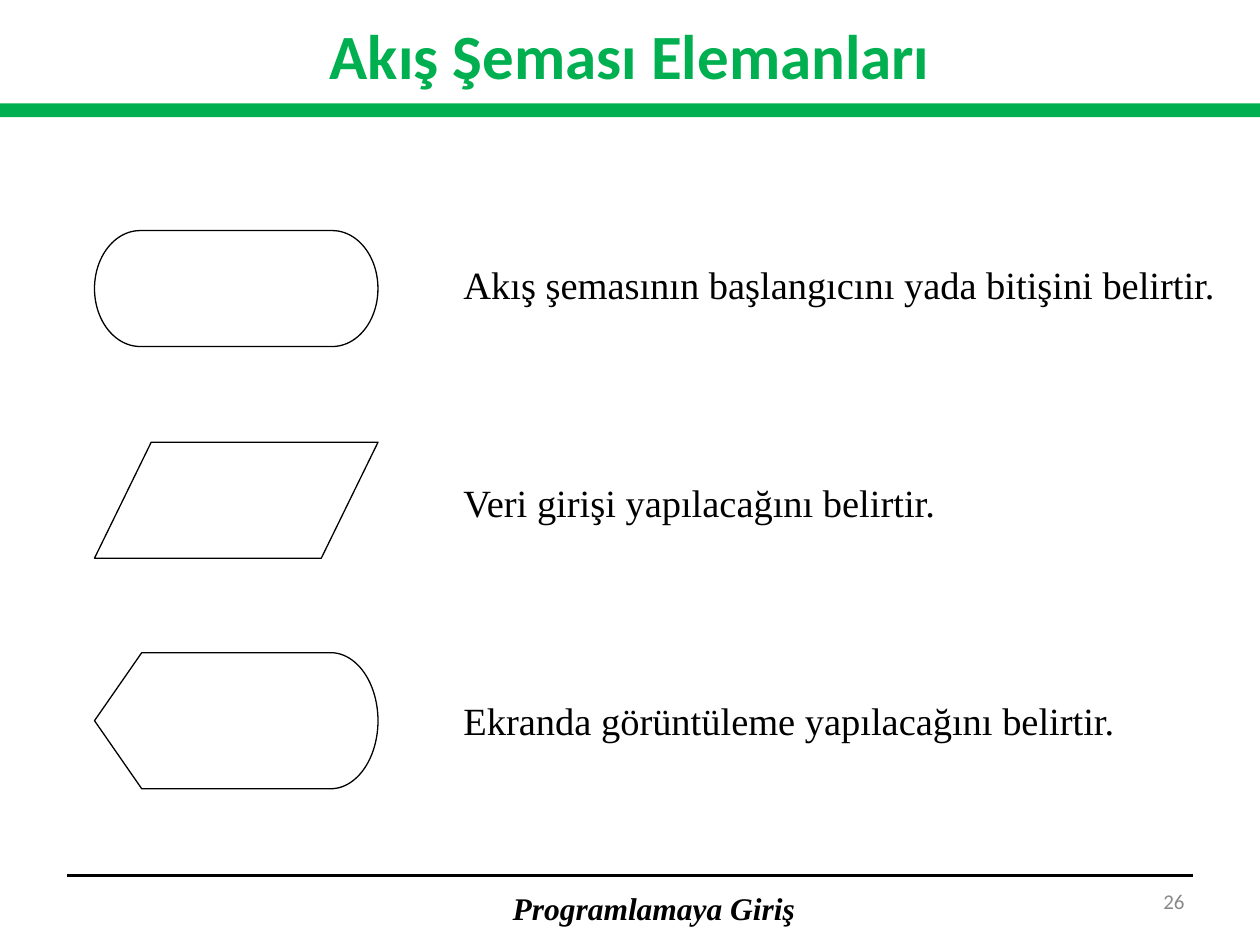
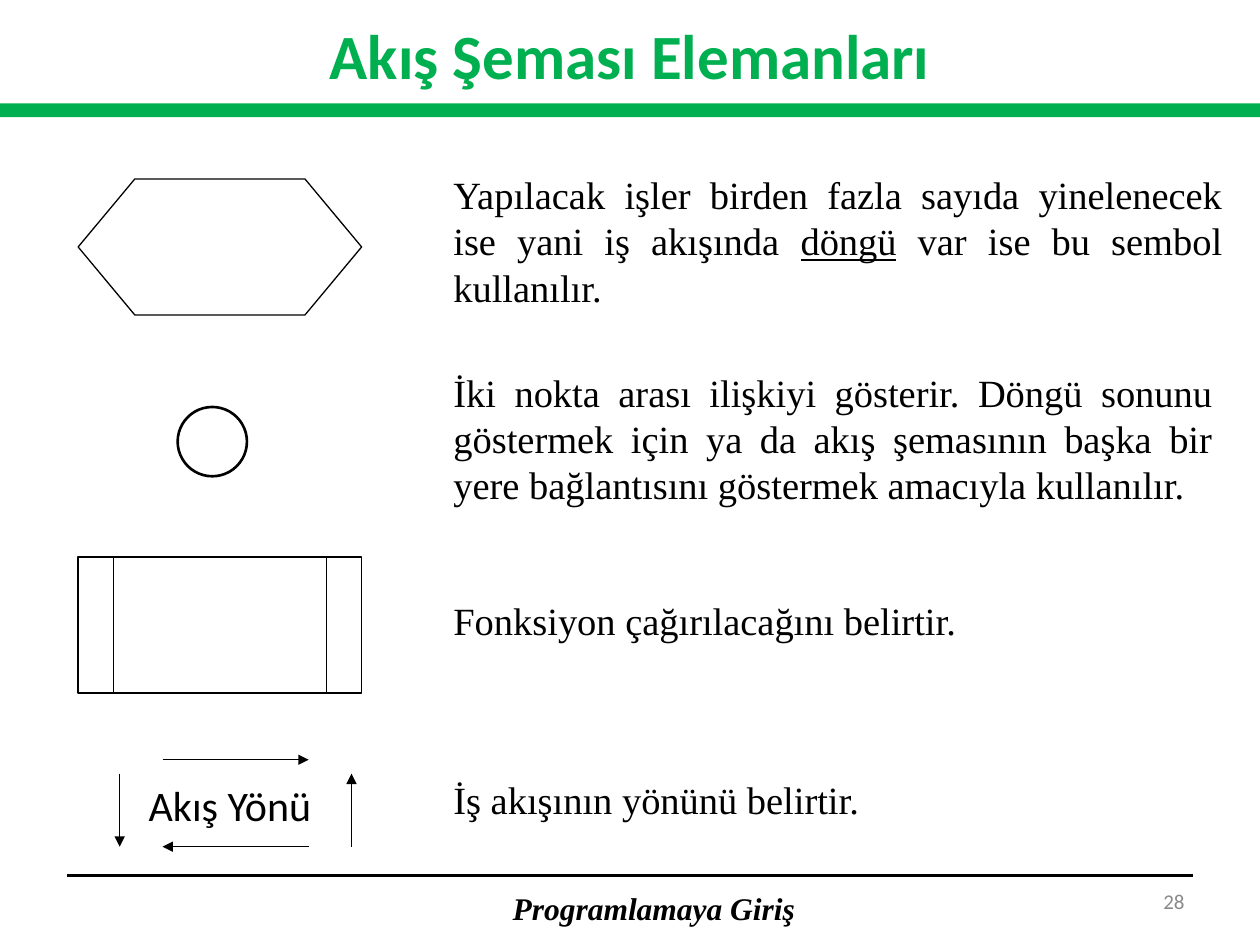
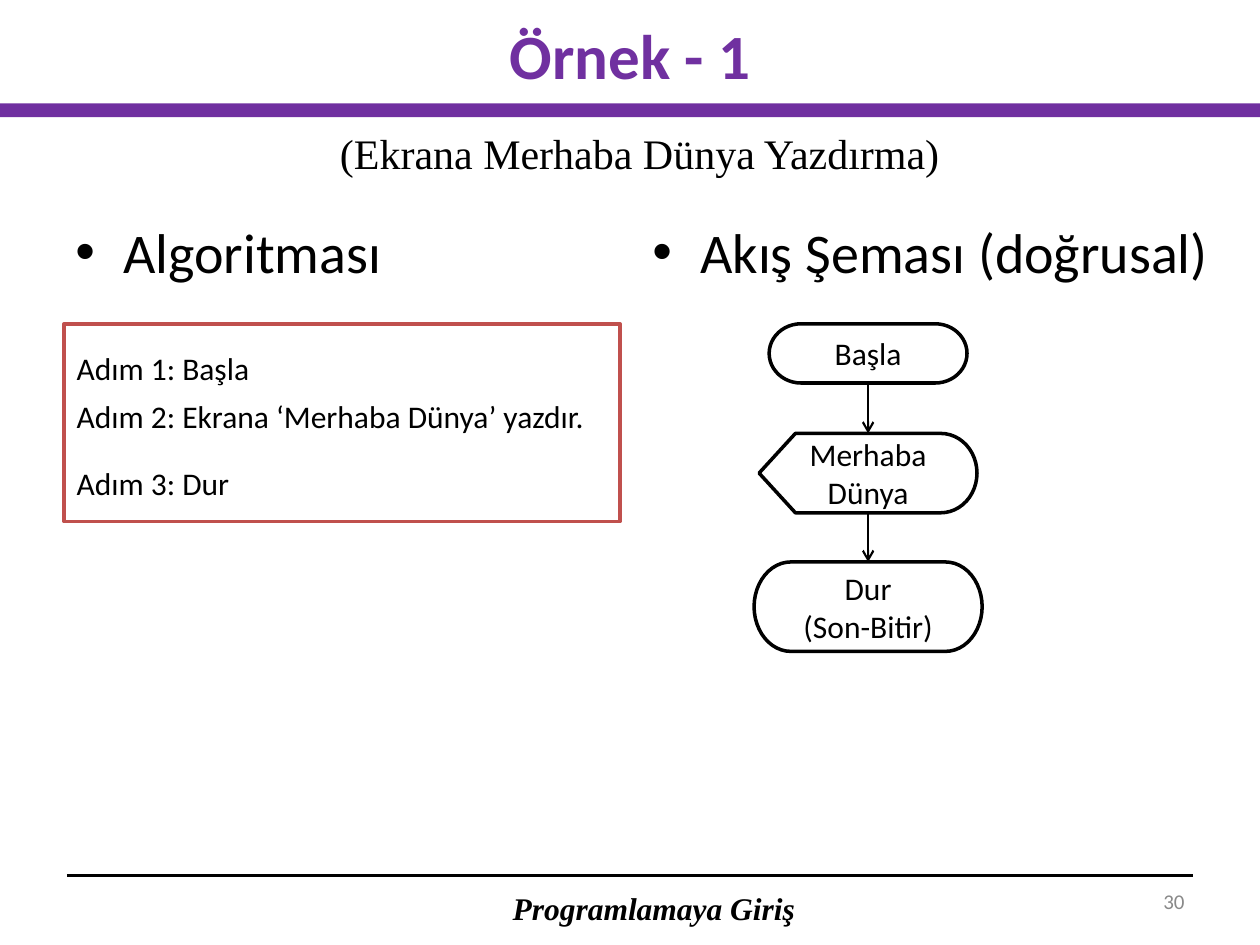
from lxml.etree import SubElement
from pptx import Presentation
from pptx.dml.color import RGBColor
from pptx.enum.shapes import MSO_CONNECTOR, MSO_SHAPE as SHAPE
from pptx.enum.text import MSO_ANCHOR as ANCHOR, PP_ALIGN as ALIGN
from pptx.oxml.ns import qn
from pptx.util import Inches, Pt

COLORS = {
    "black": "000000",
    "white": "FFFFFF",
    "gray": "898989",
    "green": "00B050",
    "purple": "7030A0",
    "red": "C0504D",
}
SANS = "Calibri"
SERIF = "Times New Roman"


def rgb(name):
    return RGBColor.from_string(COLORS[name])


class Deck:
    def __init__(self):
        self.prs = Presentation()
        self.prs.slide_width = Inches(10)
        self.prs.slide_height = Inches(7.5)
        self.s = None

    def slide(self, title, number, accent):
        self.s = self.prs.slides.add_slide(self.prs.slide_layouts[6])
        self.line(0.53, 6.95, 9.47, 6.95, 2)
        self.text("Programlamaya Giriş", 3.88, 7.01, 2.62, 0.4, 18, SERIF,
                  align=ALIGN.CENTER, anchor=ANCHOR.MIDDLE, bold=True, italic=True)
        self.text(str(number), 8.59, 6.95, 0.91, 0.4, 12, color="gray",
                  align=ALIGN.RIGHT, anchor=ANCHOR.MIDDLE)
        self.shape(SHAPE.RECTANGLE, 0, 0.82, 10, 0.11, fill=accent, line=None)
        self.text(title, 0, 0.11, 10, 0.64, 36, color=accent,
                  align=ALIGN.CENTER, anchor=ANCHOR.MIDDLE, bold=True)

    def set_text(self, tf, text, size, font=SANS, color="black", align=ALIGN.LEFT,
                 anchor=ANCHOR.TOP, bold=False, italic=False, wrap=True):
        tf.text = text
        tf.word_wrap = wrap
        tf.vertical_anchor = anchor
        for p in tf.paragraphs:
            p.alignment = align
            for r in p.runs:
                r.font.name = font
                r.font.size = Pt(size)
                r.font.bold = bold
                r.font.italic = italic
                r.font.color.rgb = rgb(color)

    def text(self, text, x, y, w, h, size, font=SANS, **style):
        sp = self.s.shapes.add_textbox(Inches(x), Inches(y), Inches(w), Inches(h))
        self.set_text(sp.text_frame, text, size, font, **style)
        return sp

    def description(self, text, x, y, w, h=0.47, align=ALIGN.LEFT):
        return self.text(text, x, y, w, h, 22, SERIF, align=align)

    def bullet(self, text, x, y, w, h):
        p = self.text(text, x, y, w, h, 32).text_frame.paragraphs[0]
        pPr = p._p.get_or_add_pPr()
        pPr.set("marL", str(Inches(0.38)))
        pPr.set("indent", str(Inches(-0.38)))
        SubElement(pPr, qn("a:buFont")).set("typeface", "Arial")
        SubElement(pPr, qn("a:buChar")).set("char", "•")

    def shape(self, kind, x, y, w, h, fill=None, line="black", width=0.75):
        sp = self.s.shapes.add_shape(kind, Inches(x), Inches(y), Inches(w), Inches(h))
        sp.shadow.inherit = False
        if fill:
            sp.fill.solid()
            sp.fill.fore_color.rgb = rgb(fill)
        else:
            sp.fill.background()
        if line:
            sp.line.color.rgb = rgb(line)
            sp.line.width = Pt(width)
        else:
            sp.line.fill.background()
        return sp

    def node(self, kind, text, center, y, w, h):
        sp = self.shape(kind, center - w / 2, y, w, h, width=2)
        self.set_text(sp.text_frame, text, 18, align=ALIGN.CENTER, anchor=ANCHOR.MIDDLE)
        return sp

    def line(self, x1, y1, x2, y2, width=0.75, head=None):
        c = self.s.shapes.add_connector(
            MSO_CONNECTOR.STRAIGHT, Inches(x1), Inches(y1), Inches(x2), Inches(y2))
        c.line.color.rgb = rgb("black")
        c.line.width = Pt(width)
        if head:
            SubElement(c.line._get_or_add_ln(), qn("a:tailEnd")).set("type", head)
        SubElement(c._element.spPr, qn("a:effectLst"))
        return c

    def join(self, upper, lower):
        c = self.line(0, 0, 0, 0, 1.25, "arrow")
        c.begin_connect(upper, 2)
        c.end_connect(lower, 0)


def basic_elements(deck):
    deck.slide("Akış Şeması Elemanları", 26, "green")
    rows = [
        (SHAPE.FLOWCHART_TERMINATOR, 1.83, 0.92, 2.02, 6.18,
         "Akış şemasının başlangıcını yada bitişini belirtir."),
        (SHAPE.FLOWCHART_DATA, 3.51, 0.92, 3.75, 4.65,
         "Veri girişi yapılacağını belirtir."),
        (SHAPE.FLOWCHART_DISPLAY, 5.18, 1.08, 5.48, 5.51,
         "Ekranda görüntüleme yapılacağını belirtir."),
    ]
    for kind, y, h, text_y, text_w, text in rows:
        deck.shape(kind, 0.75, y, 2.25, h)
        deck.description(text, 3.58, text_y, text_w)


def flow_elements(deck):
    deck.slide("Akış Şeması Elemanları", 28, "green")
    deck.shape(SHAPE.FLOWCHART_PREPARATION, 0.62, 1.42, 2.25, 1.08)
    deck.shape(SHAPE.FLOWCHART_CONNECTOR, 1.41, 3.23, 0.55, 0.55, width=1.5)
    deck.shape(SHAPE.FLOWCHART_PREDEFINED_PROCESS, 0.62, 4.42, 2.25, 1.08)
    for ends in [(1.29, 6.03, 2.45, 6.03), (2.45, 6.72, 1.29, 6.72),
                 (0.95, 6.14, 0.95, 6.72), (2.79, 6.72, 2.79, 6.14)]:
        deck.line(*ends, head="triangle")
    deck.text("Akış Yönü", 0.7, 6.14, 2.25, 0.5, 24, align=ALIGN.CENTER)

    loop = "döngü"
    text = ("Yapılacak işler birden fazla sayıda yinelenecek ise yani iş akışında "
            "döngü var ise bu sembol kullanılır.")
    before, after = text.split(loop)
    sp = deck.description(before, 3.5, 1.31, 6.3, 1.2, ALIGN.JUSTIFY)
    p = sp.text_frame.paragraphs[0]
    for part in (loop, after):
        r = p.add_run()
        r.text = part
        r.font.name = SERIF
        r.font.size = Pt(22)
        r.font.color.rgb = rgb("black")
        r.font.underline = part == loop
    deck.description("İki nokta arası ilişkiyi gösterir. Döngü sonunu göstermek için "
                     "ya da akış şemasının başka bir yere bağlantısını göstermek "
                     "amacıyla kullanılır.", 3.5, 2.88, 6.22, 1.2, ALIGN.JUSTIFY)
    deck.description("Fonksiyon çağırılacağını belirtir.", 3.5, 4.69, 5.59)
    deck.description("İş akışının yönünü belirtir.", 3.5, 6.11, 5.59)


def hello_example(deck):
    deck.slide("Örnek - 1", 30, "purple")
    deck.text("(Ekrana Merhaba Dünya Yazdırma)", 2.6, 0.96, 5, 0.5, 24, SERIF, wrap=False)
    deck.bullet("Algoritması", 0.5, 1.68, 4.42, 0.7)
    deck.bullet("Akış Şeması (doğrusal)", 5.08, 1.68, 4.72, 0.7)

    steps = deck.shape(SHAPE.RECTANGLE, 0.51, 2.57, 4.41, 1.57, "white", "red", 2)
    tf = steps.text_frame
    deck.set_text(tf, "Adım 1: Başla\nAdım 2: Ekrana ‘Merhaba Dünya’ yazdır.\nAdım 3: Dur", 18)
    first, _, last = tf.paragraphs
    for p in (first, last):
        p.line_spacing = 1.5
        p.space_after = Pt(6)
    last.space_before = Pt(6)

    center = 6.89
    start = deck.node(SHAPE.FLOWCHART_TERMINATOR, "Başla", center, 2.57, 1.57, 0.47)
    show = deck.node(SHAPE.FLOWCHART_DISPLAY, "Merhaba Dünya", center, 3.44, 1.73, 0.63)
    stop = deck.node(SHAPE.FLOWCHART_TERMINATOR, "Dur\v(Son-Bitir)", center, 4.46, 1.81, 0.71)
    deck.join(start, show)
    deck.join(show, stop)


def main():
    deck = Deck()
    basic_elements(deck)
    flow_elements(deck)
    hello_example(deck)
    deck.prs.save("out.pptx")


if __name__ == "__main__":
    main()
